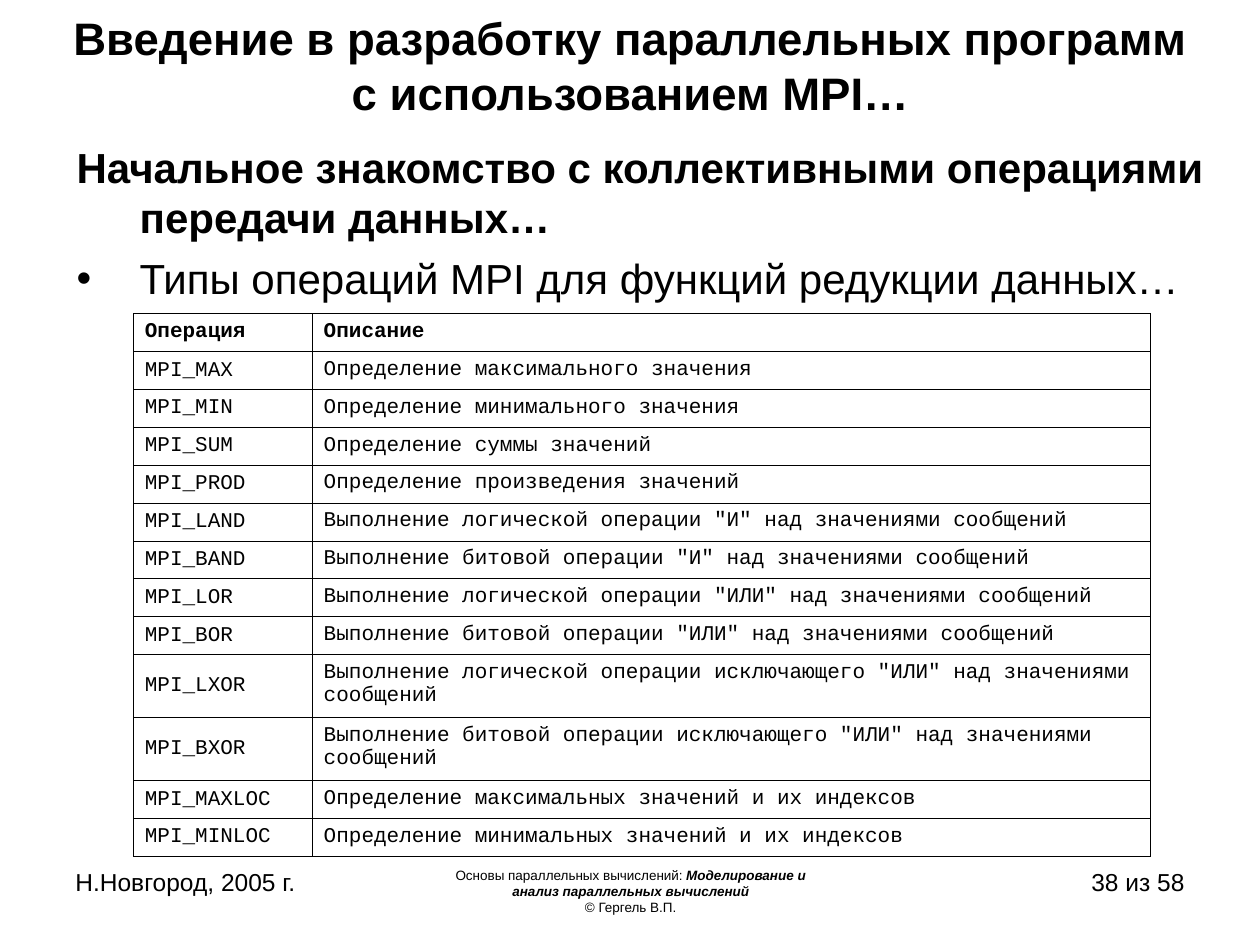
from lxml.etree import SubElement
from pptx import Presentation
from pptx.dml.color import RGBColor
from pptx.enum.text import MSO_ANCHOR, PP_ALIGN
from pptx.oxml.ns import qn
from pptx.util import Inches, Pt

BLACK = RGBColor(0, 0, 0)
WHITE = RGBColor(255, 255, 255)
SANS = "Arial"
MONO = "Courier New"

OPERATIONS = [
    ("Операция", "Описание"),
    ("MPI_MAX", "Определение максимального значения"),
    ("MPI_MIN", "Определение минимального значения"),
    ("MPI_SUM", "Определение суммы значений"),
    ("MPI_PROD", "Определение произведения значений"),
    ("MPI_LAND", 'Выполнение логической операции "И" над значениями сообщений'),
    ("MPI_BAND", 'Выполнение битовой операции "И" над значениями сообщений'),
    ("MPI_LOR", 'Выполнение логической операции "ИЛИ" над значениями сообщений'),
    ("MPI_BOR", 'Выполнение битовой операции "ИЛИ" над значениями сообщений'),
    ("MPI_LXOR", 'Выполнение логической операции исключающего "ИЛИ" над значениями сообщений'),
    ("MPI_BXOR", 'Выполнение битовой операции исключающего "ИЛИ" над значениями сообщений'),
    ("MPI_MAXLOC", "Определение максимальных значений и их индексов"),
    ("MPI_MINLOC", "Определение минимальных значений и их индексов"),
]
TALL_ROWS = ("MPI_LXOR", "MPI_BXOR")


def style(paragraph, size, name=SANS, bold=None, align=PP_ALIGN.LEFT):
    """Set the alignment and the font shared by a paragraph's runs."""
    paragraph.alignment = align
    font = paragraph.font
    font.size, font.name, font.bold = Pt(size), name, bold
    font.color.rgb = BLACK


def add_text_frame(slide, left, top, width, height, anchor=MSO_ANCHOR.TOP):
    """Add a wrapping text box and return its text frame."""
    box = slide.shapes.add_textbox(Inches(left), Inches(top), Inches(width), Inches(height))
    frame = box.text_frame
    frame.word_wrap = True
    frame.vertical_anchor = anchor
    return frame


def add_line(slide, text, place, size, align, bold=None, anchor=MSO_ANCHOR.TOP):
    """Add a text box that holds one uniform paragraph."""
    paragraph = add_text_frame(slide, *place, anchor).paragraphs[0]
    paragraph.text = text
    style(paragraph, size, bold=bold, align=align)


def hang(paragraph, bullet=None):
    """Give a paragraph a half-inch hanging indent and an optional bullet."""
    properties = paragraph._p.get_or_add_pPr()
    properties.set("marL", str(Inches(0.5)))
    properties.set("indent", str(Inches(-0.5)))
    if bullet:
        SubElement(properties, qn("a:buFont"), typeface=SANS)
        SubElement(properties, qn("a:buChar"), char=bullet)


def add_body(slide):
    """Add the subheading and the bullet above the table."""
    frame = add_text_frame(slide, 0.51, 1.07, 9.15, 1.42)
    heading = frame.paragraphs[0]
    heading.text = "Начальное знакомство с коллективными операциями передачи данных…"
    hang(heading)
    style(heading, 24, bold=True)
    topic = frame.add_paragraph()
    topic.text = "Типы операций MPI для функций редукции данных…"
    hang(topic, "•")
    topic.space_before = Pt(6)
    style(topic, 24)


def add_course_credit(slide):
    """Add the centred course name and author in the footer."""
    credit = add_text_frame(slide, 3.42, 6.83, 3.17, 0.52).paragraphs[0]
    credit.add_run().text = "Основы параллельных вычислений: "
    course = credit.add_run()
    course.text = "Моделирование и анализ параллельных вычислений"
    course.font.bold = course.font.italic = True
    credit.add_line_break()
    credit.add_run().text = "© Гергель В.П."
    style(credit, 7.7, align=PP_ALIGN.CENTER)


def add_borders(cell, width=0.45):
    """Draw a thin black line on each side of a cell."""
    properties = cell._tc.get_or_add_tcPr()
    for side in ("a:lnL", "a:lnR", "a:lnT", "a:lnB"):
        line = SubElement(properties, qn(side), w=str(Pt(width)))
        fill = SubElement(line, qn("a:solidFill"))
        SubElement(fill, qn("a:srgbClr"), val=str(BLACK))


def fill_cell(cell, text, header, is_name):
    """Write and format one cell of the operations table."""
    cell.margin_left = cell.margin_right = Inches(0.09)
    cell.margin_top = cell.margin_bottom = Inches(0.05)
    cell.vertical_anchor = MSO_ANCHOR.MIDDLE if is_name and not header else MSO_ANCHOR.TOP
    add_borders(cell)
    cell.fill.background()
    paragraph = cell.text_frame.paragraphs[0]
    paragraph.text = text
    align = PP_ALIGN.JUSTIFY if is_name or header else PP_ALIGN.LEFT
    style(paragraph, 12, MONO, header, align)


def add_operations_table(slide):
    """Add the table of reduction operations."""
    table = slide.shapes.add_table(
        len(OPERATIONS), 2, Inches(1.06), Inches(2.49), Inches(8.07), Inches(4.35)
    ).table
    table.first_row = table.horz_banding = False
    for column, width in zip(table.columns, (1.42, 6.65)):
        column.width = Inches(width)
    for index, operation in enumerate(OPERATIONS):
        table.rows[index].height = Inches(0.5 if operation[0] in TALL_ROWS else 0.3)
        for column, text in enumerate(operation):
            fill_cell(table.cell(index, column), text, index == 0, column == 0)


def main():
    """Build and save the slide on MPI reduction operations."""
    deck = Presentation()
    deck.slide_width, deck.slide_height = Inches(10), Inches(7.5)
    slide = deck.slides.add_slide(deck.slide_layouts[6])
    slide.background.fill.solid()
    slide.background.fill.fore_color.rgb = WHITE
    add_line(slide, "Н.Новгород, 2005 г.", (0.5, 6.83, 2.33, 0.52), 14, PP_ALIGN.LEFT)
    add_course_credit(slide)
    add_line(slide, "38 из 58", (7.17, 6.83, 2.33, 0.52), 14, PP_ALIGN.RIGHT)
    add_line(slide, "Введение в разработку параллельных программ с использованием MPI…",
             (0.42, 0.21, 9.17, 0.61), 26, PP_ALIGN.CENTER, True, MSO_ANCHOR.MIDDLE)
    add_body(slide)
    add_operations_table(slide)
    deck.save("out.pptx")


if __name__ == "__main__":
    main()
